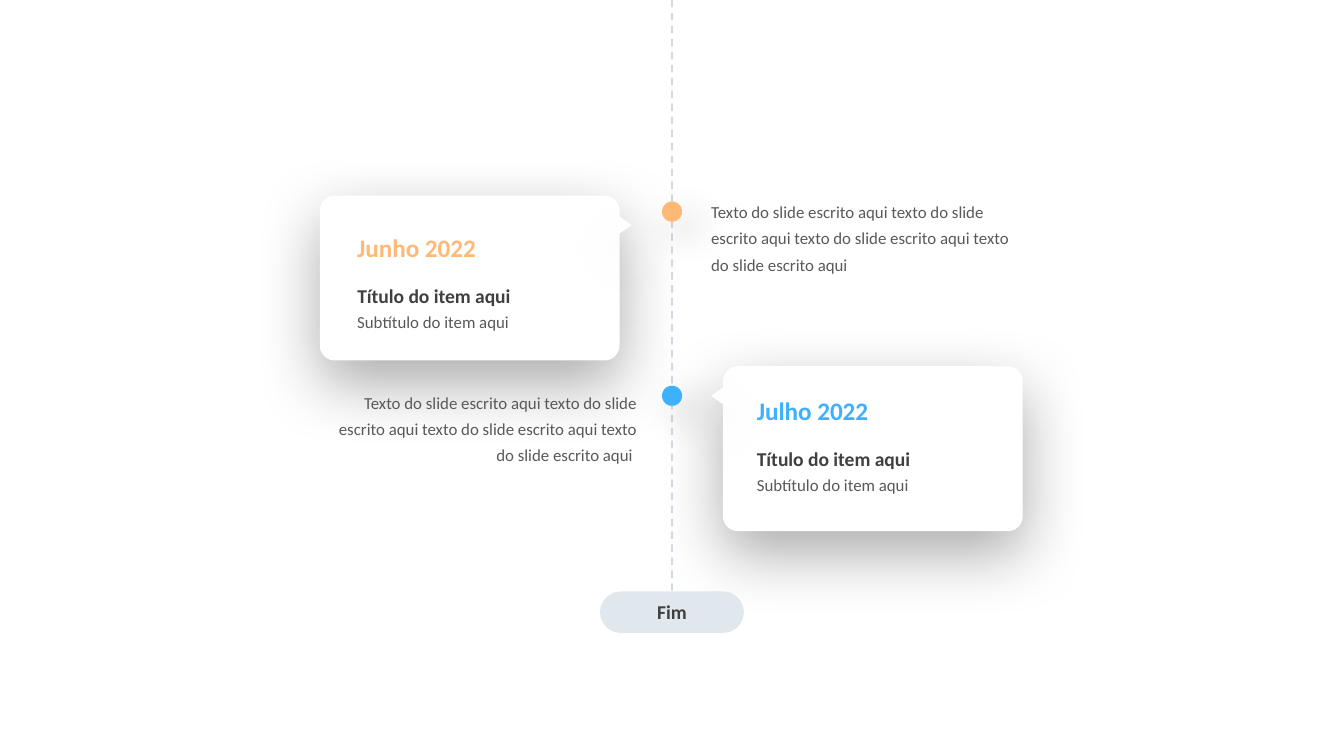
"""Build the closing slide of a timeline with two dated cards."""
from lxml import etree
from pptx import Presentation
from pptx.dml.color import RGBColor
from pptx.enum.dml import MSO_LINE
from pptx.enum.shapes import MSO_CONNECTOR, MSO_SHAPE
from pptx.enum.text import MSO_ANCHOR, MSO_AUTO_SIZE, PP_ALIGN
from pptx.oxml.ns import qn
from pptx.util import Inches, Pt

ROUND = MSO_SHAPE.ROUNDED_RECTANGLE
BEAK = MSO_SHAPE.ISOSCELES_TRIANGLE
DOT = MSO_SHAPE.OVAL
LEFT, MID, RIGHT = PP_ALIGN.LEFT, PP_ALIGN.CENTER, PP_ALIGN.RIGHT
CENTER = MSO_ANCHOR.MIDDLE
GROW = MSO_AUTO_SIZE.SHAPE_TO_FIT_TEXT
DASH = MSO_LINE.DASH
STRAIGHT = MSO_CONNECTOR.STRAIGHT

INK = {"white": "FFFFFF", "black": "000000", "navy": "2C4166", "orange": "FEB976",
       "blue": "3DB1FE", "mist": "E0E8EE", "dark": "404040", "gray": "595959"}

deck = Presentation()
deck.slide_width = Inches(10)
deck.slide_height = deck.slide_width * 9 // 16
CELL = deck.slide_width / 100
AXIS = 50
slide = deck.slides.add_slide(deck.slide_layouts[6])


def draw(home, kind, box, fill, shade=None):
    """Add a filled shape; shade is (alpha, blur, distance, angle)."""
    shape = home.shapes.add_shape(kind, *[round(n * CELL) for n in box])
    shape.fill.solid()
    shape.fill.fore_color.rgb = RGBColor.from_string(INK[fill])
    shape.line.fill.background()
    shape.shadow.inherit = False
    if shade:
        alpha, blur, gap, angle = shade
        glow = etree.SubElement(
            shape.element.spPr.find(qn("a:effectLst")), qn("a:outerShdw"),
            blurRad=str(Pt(blur)), dist=str(Pt(gap)),
            dir=str(angle * 60000), algn="ctr", rotWithShape="0")
        tone = etree.SubElement(glow, qn("a:srgbClr"), val=INK["black"])
        etree.SubElement(tone, qn("a:alpha"), val=str(alpha * 1000))
    return shape


def write(text, box=None, shape=None, size=9, ink="gray", bold=False, align=LEFT, gap=None):
    """Put formatted text in a shape, or in a new text box."""
    if shape is None:
        shape = slide.shapes.add_textbox(*[round(n * CELL) for n in box])
        shape.text_frame.auto_size = GROW
    frame = shape.text_frame
    frame.word_wrap = True
    line = frame.paragraphs[0]
    line.text = text
    line.alignment = align
    line.line_spacing = gap
    font = line.runs[0].font
    font.name, font.size, font.bold = "Calibri", Pt(size), bold
    font.color.rgb = RGBColor.from_string(INK[ink])


NOTE = "Texto do slide escrito aqui" + " texto do slide escrito aqui" * 3
ITEMS = [
    dict(date="Julho 2022", ink="blue", card=(53.8, 27.25), beak=(52.7, 28.95), turn=270,
         dot=28.7, text=55.33, rows=(28.95, 32.73, 34.4),
         body=NOTE + " ", note=(23.73, 28.25, 24.6, 6.8), align=RIGHT),
    dict(date="Junho 2022", ink="orange", card=(23.8, 14.55), beak=(45.8, 16.25), turn=90,
         dot=15, text=25.6, rows=(16.8, 20.6, 22.25),
         body=NOTE, note=(51.93, 14.07, 24.9, 6.8), align=LEFT),
]
SOFT, FAINT = (32, 35, 12, 90), (23, 20, 10, 45)

for item in ITEMS:
    group = slide.shapes.add_group_shape()
    card = draw(group, ROUND, (*item["card"], 22.3, 12.27), "white", SOFT)
    card.adjustments[0] = 0.09
    beak = draw(group, BEAK, (*item["beak"], 1.4, 1), "white", SOFT)
    beak.rotation = item["turn"]

axis = slide.shapes.add_connector(
    STRAIGHT, round(AXIS * CELL), 0, round(AXIS * CELL), round(44 * CELL))
axis.line.width = Pt(1)
axis.line.dash_style = DASH
axis.line.color.rgb = RGBColor.from_string(INK["navy"])
tone = axis.element.spPr.find(".//" + qn("a:srgbClr"))
etree.SubElement(tone, qn("a:alpha"), val="20000")
etree.SubElement(axis.element.spPr, qn("a:effectLst"))

for item in ITEMS:
    draw(slide, DOT, (AXIS - 0.75, item["dot"], 1.5, 1.5), item["ink"], FAINT)

pill = draw(slide, ROUND, (AXIS - 5.35, 44, 10.7, 3.1), "mist")
pill.adjustments[0] = 0.5
pill.text_frame.vertical_anchor = CENTER
write("Fim", shape=pill, size=10.5, ink="dark", bold=True, align=MID)
axis.end_connect(pill, 0)

for item in ITEMS:
    write(item["body"], item["note"], align=item["align"], gap=1.3)
    left, (top, mid, low) = item["text"], item["rows"]
    write(item["date"], (left, top, 19.4, 3.3), size=13.5, ink=item["ink"], bold=True)
    write("Título do item aqui", (left, mid, 19.5, 2.8), size=10.5, ink="dark", bold=True)
    write("Subtítulo do item aqui", (left, low, 15.7, 2.9), gap=1.3)

deck.save("out.pptx")
